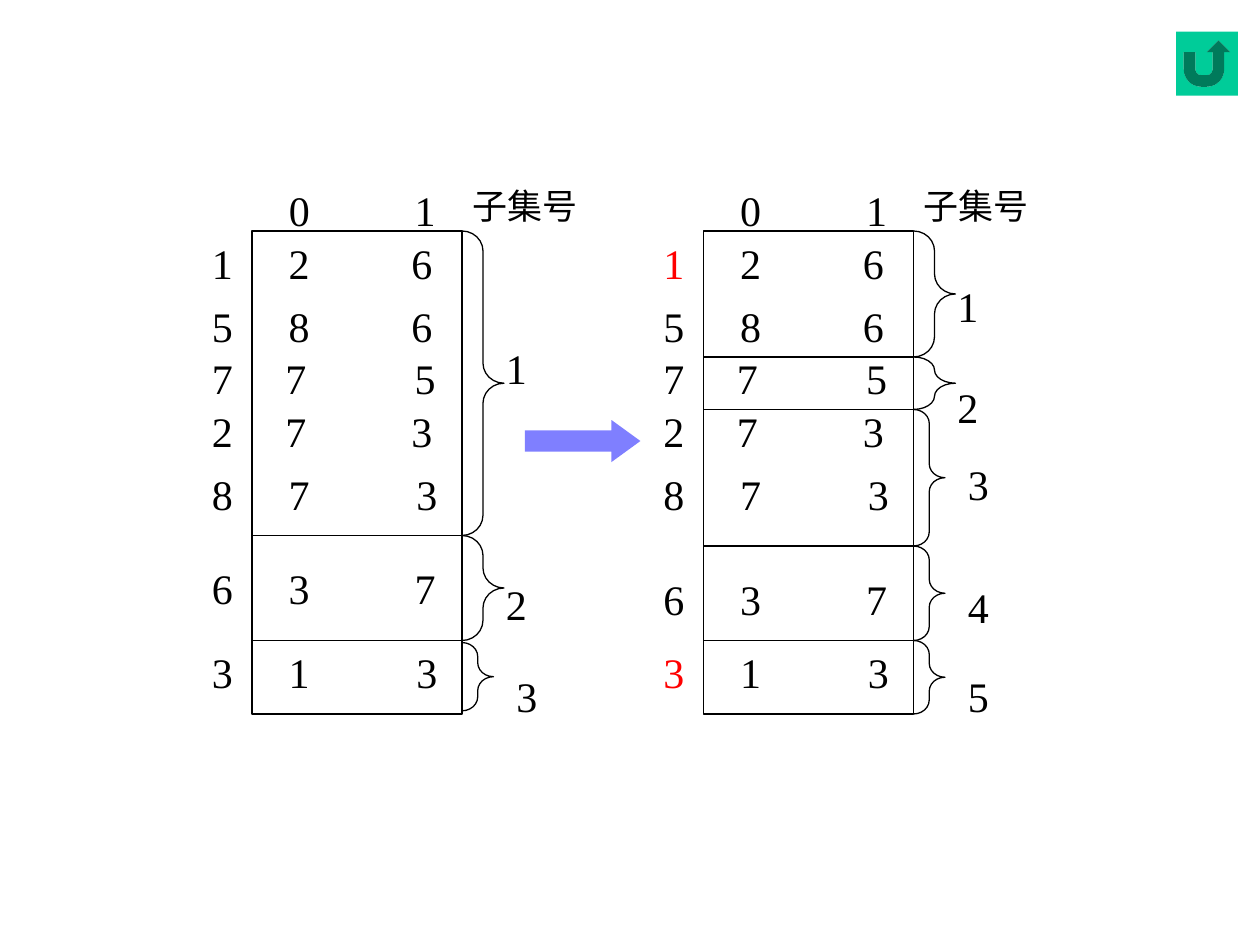
from lxml import etree
from pptx import Presentation
from pptx.dml.color import RGBColor
from pptx.enum.shapes import MSO_CONNECTOR as MC, MSO_SHAPE as MS
from pptx.enum.text import MSO_AUTO_SIZE as AUTO, PP_ALIGN as AL
from pptx.oxml.ns import qn
from pptx.util import Pt


def rgb(value):
    return RGBColor.from_string(value)


def add_text(shapes, text, x, y, w, h=36, size=24, color="000000"):
    s = shapes.add_textbox(Pt(x), Pt(y), Pt(w), Pt(h))
    tf = s.text_frame
    for name, value in {"word_wrap": True, "auto_size": AUTO.SHAPE_TO_FIT_TEXT}.items():
        setattr(tf, name, value)
    p = tf.paragraphs[0]
    p.alignment = AL.CENTER
    before = etree.SubElement(p._p.get_or_add_pPr(), qn("a:spcBef"))
    etree.SubElement(before, qn("a:spcPct"), val="50000")
    r = p.add_run()
    r.text = text
    for name, value in {"size": Pt(size), "name": "Times New Roman"}.items():
        setattr(r.font, name, value)
    r.font.color.rgb = rgb(color)


prs = Presentation()
prs.slide_width, prs.slide_height = Pt(720), Pt(540)
slide = prs.slides.add_slide(prs.slide_layouts[6])

arrow = slide.shapes.add_shape(MS.RIGHT_ARROW, Pt(300), Pt(240), Pt(66), Pt(24))
arrow.adjustments[0], arrow.adjustments[1] = 0.5, 0.688
button = slide.shapes.add_shape(MS.ACTION_BUTTON_RETURN, Pt(672), Pt(18), Pt(35.3), Pt(36.7))
for s, color in ((arrow, "0000FF"), (button, "00CC99")):
    s.shadow.inherit = False
    s.fill.solid()
    s.fill.fore_color.rgb = rgb(color)
    s.line.fill.background()
fill = arrow.fill._xPr.find(qn("a:solidFill"))
etree.SubElement(fill[0], qn("a:alpha"), val="50000")

top, width, height = 132, 120, 276
rows = [
    (132, "1", "2", 30, "6", 228, 24),
    (168, "5", "8", 30, "6", 228, 24),
    (198, "7", "7", 24, "5", 228, 30),
    (228, "2", "7", 24, "3", 228, 24),
    (264, "8", "7", 30, "3", 226, 36),
    (318, "6", "3", 30, "7", 228, 30),
    (366, "3", "1", 30, "3", 226, 36),
]
panels = [
    {
        "dx": 0, "row6": 318, "red": "", "dividers": [306, 366],
        "braces": [(132, 174, 24, 192), (306, 60, 24, 327), (367.2, 39, 18, 379.5)],
    },
    {
        "dx": 258, "row6": 324, "red": "13", "dividers": [204, 234, 312, 366],
        "braces": [(132, 72, 24, 157), (204, 30, 24, 214.5), (234, 78, 18, 258.5),
                   (312, 54, 18, 329), (366, 42, 18, 379.5)],
    },
]

for panel in panels:
    dx = panel["dx"]
    left, right = 144 + dx, 144 + dx + width
    shapes = slide.shapes.add_group_shape().shapes
    outlines = [shapes.add_shape(MS.RECTANGLE, Pt(left), Pt(top), Pt(width), Pt(height))]

    add_text(shapes, "0", 150 + dx, 102, 42)
    add_text(shapes, "1", 228 + dx, 102, 30)
    add_text(shapes, "子集号", 258 + dx, 102, 84, 31, 20)
    for y, label, first, first_w, second, second_x, second_w in rows:
        if label == "6":
            y = panel["row6"]
        color = "FF0000" if label in panel["red"] else "000000"
        add_text(shapes, label, 114 + dx, y, 24, color=color)
        add_text(shapes, first, 156 + dx, y, first_w)
        add_text(shapes, second, second_x + dx, y, second_w)

    for number, (y, h, w, label_y) in enumerate(panel["braces"], 1):
        s = shapes.add_shape(MS.RIGHT_BRACE, Pt(right), Pt(y), Pt(w), Pt(h))
        s.adjustments[0] = 0.479 if w == 24 else 0.444
        s.adjustments[1] = 0.5
        outlines.append(s)
        add_text(shapes, str(number), (282 if w == 24 else 288) + dx, label_y, 24)

    for s in outlines:
        s.shadow.inherit = False
        s.fill.background()
    for y in panel["dividers"]:
        s = shapes.add_connector(MC.STRAIGHT, Pt(left), Pt(y), Pt(right), Pt(y))
        etree.SubElement(s._element.spPr, qn("a:effectLst"))
        outlines.append(s)
    for s in outlines:
        s.line.color.rgb = rgb("000000")
        s.line.width = Pt(0.75)

prs.save("out.pptx")
